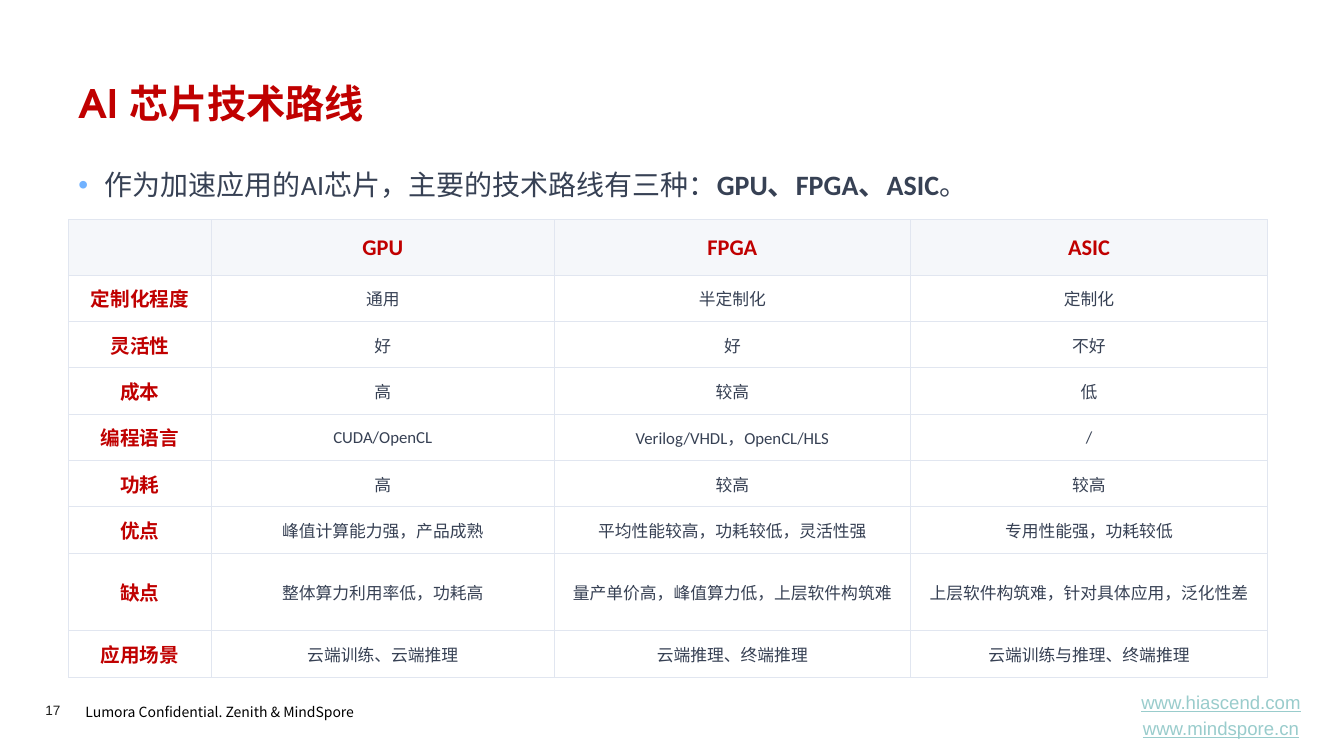
from lxml import etree
from pptx import Presentation, util as u
from pptx.dml.color import RGBColor
from pptx.enum import text
from pptx.oxml.ns import qn

PX = 9144  # 100 px to the inch
RED = RGBColor(0xC0, 0x00, 0x00)
SLATE = RGBColor(0x37, 0x41, 0x54)
TEAL = RGBColor(0x99, 0xCC, 0xCC)
INK = RGBColor(0x1D, 0x1D, 0x1B)
BLACK = RGBColor(0x00, 0x00, 0x00)
WHITE = RGBColor(0xFF, 0xFF, 0xFF)
HEADER_FILL = RGBColor(0xF5, 0xF7, 0xFA)
BORDER = RGBColor(0xE1, 0xE6, 0xF0)
BULLET = RGBColor(0x71, 0xB2, 0xFF)
CJK_FONT = "Noto Sans CJK SC"


def add_run(paragraph, words, size, color, name="Calibri", **more):
    run = paragraph.add_run()
    run.text = words
    for key, value in dict(size=u.Pt(size), name=name, **more).items():
        setattr(run.font, key, value)
    run.font.color.rgb = color
    latin = run.font._element.find(qn("a:latin"))
    latin.addnext(latin.makeelement(qn("a:ea"), {"typeface": CJK_FONT}))


def add_frame(left, top, width, height, inset=(10, 5)):
    frame = slide.shapes.add_textbox(*(v * PX for v in (left, top, width, height))).text_frame
    frame.word_wrap = True
    frame.margin_left = frame.margin_right = inset[0] * PX
    frame.margin_top = frame.margin_bottom = inset[1] * PX
    return frame


deck = Presentation()
deck.slide_width, deck.slide_height = 1334 * PX, 750 * PX
slide = deck.slides.add_slide(deck.slide_layouts[6])

# Footer
notice = add_frame(75, 690, 313, 29).paragraphs[0]
notice.line_spacing = 1.2
add_run(notice, "Lumora Confidential. Zenith & MindSpore", 10, BLACK, CJK_FONT)

page_number = add_frame(45, 696, 55, 16, (0, 0)).paragraphs[0]
add_run(page_number, "17", 9.7, INK, "Arial")

sites = add_frame(1104, 688, 216, 43)
sites.vertical_anchor = text.MSO_ANCHOR.MIDDLE
second_site = sites.add_paragraph()
second_site.space_before = u.Pt(2.7)
for site, address in zip(sites.paragraphs, ("www.hiascend.com", "www.mindspore.cn")):
    site.alignment = text.PP_ALIGN.CENTER
    add_run(site, address, 13.3, TEAL, "Arial", underline=True)

# Title and lead sentence
title = add_frame(68, 74, 1199, 64).paragraphs[0]
add_run(title, "AI 芯片技术路线", 28, RED, "TeX Gyre Adventor", bold=True)

lead = add_frame(68, 155, 1199, 47).paragraphs[0]
lead.line_spacing = 1.2
lead_format = lead._p.get_or_add_pPr()
lead_format.set("marL", str(26 * PX))
lead_format.set("indent", str(-26 * PX))
bullet_color = etree.SubElement(lead_format, qn("a:buClr"))
etree.SubElement(bullet_color, qn("a:srgbClr"), val=str(BULLET))
etree.SubElement(lead_format, qn("a:buFont"), typeface="Arial")
etree.SubElement(lead_format, qn("a:buChar"), char="•")
for words, bold in (
    ("作为加速应用的AI芯片，主要的技术路线有三种：", False),
    ("GPU、FPGA、ASIC", True),
    ("。", False),
):
    add_run(lead, words, 20, SLATE, bold=bold)

# Comparison table
comparison = (
    ("", "GPU", "FPGA", "ASIC"),
    ("定制化程度", "通用", "半定制化", "定制化"),
    ("灵活性", "好", "好", "不好"),
    ("成本", "高", "较高", "低"),
    ("编程语言", "CUDA/OpenCL", "Verilog/VHDL，OpenCL/HLS", "/"),
    ("功耗", "高", "较高", "较高"),
    ("优点", "峰值计算能力强，产品成熟", "平均性能较高，功耗较低，灵活性强", "专用性能强，功耗较低"),
    ("缺点", "整体算力利用率低，功耗高", "量产单价高，峰值算力低，上层软件构筑难",
     "上层软件构筑难，针对具体应用，泛化性差"),
    ("应用场景", "云端训练、云端推理", "云端推理、终端推理", "云端训练与推理、终端推理"),
)
column_widths = (142, 340, 354, 354)
row_heights = (55, 46, 46, 46, 46, 46, 46, 77, 46)
table = slide.shapes.add_table(
    len(row_heights), len(column_widths), 68 * PX, 218 * PX,
    sum(column_widths) * PX, sum(row_heights) * PX,
).table
table.first_row = table.horz_banding = False
for column, width in zip(table.columns, column_widths):
    column.width = width * PX
for row, height in zip(table.rows, row_heights):
    row.height = height * PX

cell_format = dict(
    margin_left=7 * PX, margin_right=7 * PX, margin_top=6 * PX, margin_bottom=6 * PX,
    vertical_anchor=text.MSO_ANCHOR.MIDDLE,
)
for r, entries in enumerate(comparison):
    for c, words in enumerate(entries):
        cell = table.cell(r, c)
        for key, value in cell_format.items():
            setattr(cell, key, value)
        cell_properties = cell._tc.get_or_add_tcPr()
        for side in ("lnL", "lnR", "lnT", "lnB"):
            edge = etree.SubElement(cell_properties, qn(f"a:{side}"), w=str(u.Pt(0.75)))
            edge_fill = etree.SubElement(edge, qn("a:solidFill"))
            etree.SubElement(edge_fill, qn("a:srgbClr"), val=str(BORDER))
        cell.fill.solid()
        cell.fill.fore_color.rgb = HEADER_FILL if r == 0 else WHITE
        if words:
            heading = r == 0 or c == 0
            size = 16 if r == 0 else 14 if c == 0 else 12
            paragraph = cell.text_frame.paragraphs[0]
            paragraph.alignment = text.PP_ALIGN.CENTER
            add_run(paragraph, words, size, RED if heading else SLATE, bold=heading)

deck.save("out.pptx")
